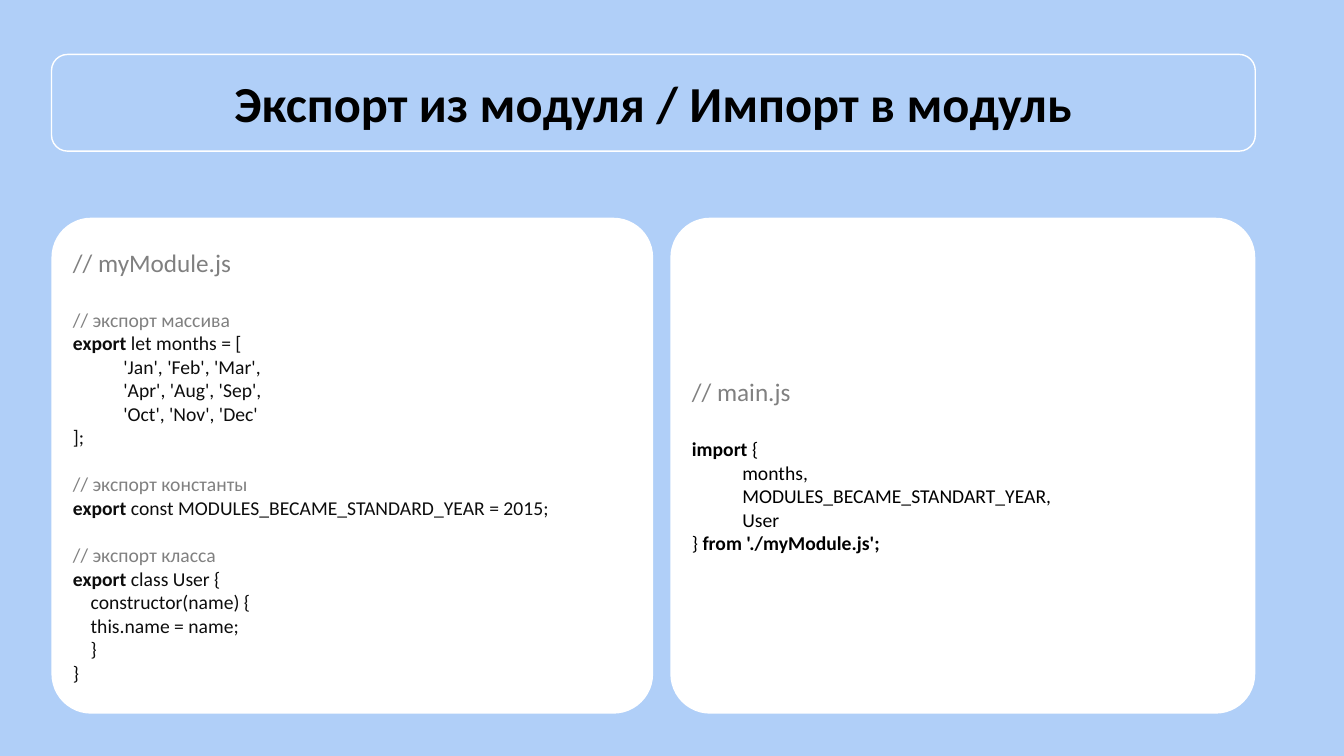
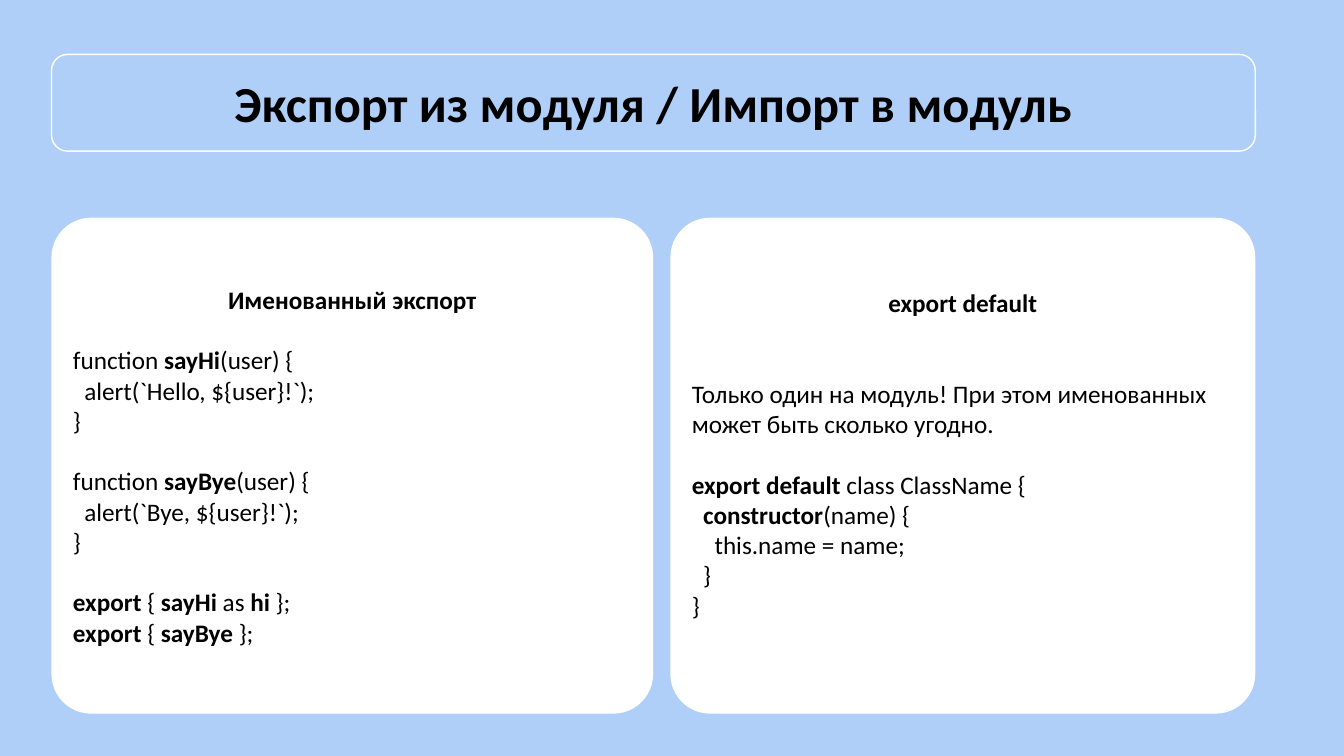
from pptx import Presentation
from pptx.dml.color import RGBColor
from pptx.enum.shapes import MSO_SHAPE
from pptx.enum.text import MSO_ANCHOR, PP_ALIGN
from pptx.util import Inches, Pt

SKY = RGBColor(0xB0, 0xCF, 0xF8)
WHITE = RGBColor(0xFF, 0xFF, 0xFF)
GREY = RGBColor(0x80, 0x80, 0x80)
BLACK = RGBColor(0, 0, 0)
INK = RGBColor(0x0D, 0x0D, 0x0D)

GRID = 100
LEFT, RIGHT, GAP = 3.83, 93.4, 1.28
SPLIT = 48.6
TOP, TALL = 28.8, 65.6
LINE = 1.2
STEP = 0.45

HEAD = "Экспорт из модуля / Импорт в модуль"
FILE = {"size": 18, "color": GREY}
NOTE = {"color": GREY, "gap": 1}
FIRST = {"color": GREY, "gap": 18 / 14}
ITEM = {"left": 36}
MID = {"align": PP_ALIGN.CENTER}
NEXT = {"gap": 1}


def tab(count):
    """Return the format of a code line that is count steps deep."""
    return {"deep": count}


class Deck:
    """Hold the style and the current slide."""

    def __init__(self):
        """Start an empty deck."""
        self.file = Presentation()
        self.file.slide_width = Inches(13.33)
        self.file.slide_height = Inches(7.5)

    def page(self, head):
        """Add a slide with its background and title."""
        self.slide = self.file.slides.add_slide(self.file.slide_layouts[6])
        fill = self.slide.background.fill
        fill.solid()
        fill.fore_color.rgb = SKY
        box = self.panel(LEFT, 7.2, RIGHT - LEFT, 12.8)
        box.fill.background()
        box.line.color.rgb = WHITE
        box.line.width = Pt(1)
        self.text(box, [(f"*{head}*", MID)], 36, BLACK)

    def panel(self, col, row, wide, tall):
        """Add a rounded box at a place on the grid."""
        unit = self.file.slide_width / GRID
        rise = self.file.slide_height / GRID
        box = self.slide.shapes.add_shape(
            MSO_SHAPE.ROUNDED_RECTANGLE,
            round(col * unit), round(row * rise),
            round(wide * unit), round(tall * rise))
        box.shadow.inherit = False
        return box

    def card(self, start, end, rows, size, ink, foot=0):
        """Add a white card of code between two columns."""
        box = self.panel(start, TOP, end - start, TALL)
        box.adjustments[0] = 0.08
        box.fill.solid()
        box.fill.fore_color.rgb = WHITE
        box.line.fill.background()
        self.text(box, rows, size, ink)
        box.text_frame.margin_bottom += Pt(foot)

    def pair(self, one, two, size, inks, foot=0):
        """Add the left and right cards."""
        self.card(LEFT, SPLIT, one, size, inks[0])
        self.card(SPLIT + GAP, RIGHT, two, size, inks[1], foot)

    def text(self, box, rows, size, ink):
        """Fill a box with rows of text, where stars mark bold parts."""
        frame = box.text_frame
        frame.word_wrap = True
        frame.vertical_anchor = MSO_ANCHOR.MIDDLE
        for at, row in enumerate(rows):
            words, form = row if isinstance(row, tuple) else (row, {})
            para = frame.paragraphs[0] if at == 0 else frame.add_paragraph()
            high = form.get("size", size)
            look = {"alignment": form.get("align", PP_ALIGN.LEFT),
                    "space_before": Pt(form.get("gap", 0) * high * LINE)}
            for name, value in look.items():
                setattr(para, name, value)
            left = form.get("left", form.get("deep", 0) * STEP * high)
            para._p.get_or_add_pPr().set("marL", str(int(Pt(left))))
            for turn, part in enumerate(words.split("*")):
                if part:
                    run = para.add_run()
                    run.text = part
                    font = {"name": "Calibri", "size": Pt(high),
                            "bold": turn % 2 == 1}
                    for name, value in font.items():
                        setattr(run.font, name, value)
                    run.font.color.rgb = form.get("color", ink)


def main():
    """Build and save the deck."""
    deck = Deck()
    deck.page(HEAD)
    deck.pair([
        ("// myModule.js", FILE),
        ("// экспорт массива", FIRST),
        "*export *let months = [",
        ("'Jan', 'Feb', 'Mar',", ITEM),
        ("'Apr', 'Aug', 'Sep',", ITEM),
        ("'Oct', 'Nov', 'Dec'", ITEM),
        "];",
        ("// экспорт константы", NOTE),
        "*export *const MODULES_BECAME_STANDARD_YEAR = 2015;",
        ("// экспорт класса", NOTE),
        "*export *class User {",
        ("constructor(name) {", tab(2)),
        ("this.name = name;", tab(2)),
        ("}", tab(2)),
        "}",
    ], [
        ("// main.js", FILE),
        ("*import *{", {"gap": 18 / 14}),
        ("months,", ITEM),
        ("MODULES_BECAME_STANDART_YEAR,", ITEM),
        ("User", ITEM),
        "} *from './myModule.js';*",
    ], 14, (INK, BLACK))

    deck.page(HEAD)
    deck.pair([
        ("*Именованный экспорт*", MID),
        ("function *sayHi*(user) {", NEXT),
        ("alert(`Hello, ${user}!`);", tab(1)),
        "}",
        ("function *sayBye*(user) {", NEXT),
        ("alert(`Bye, ${user}!`);", tab(1)),
        "}",
        ("*export *{ *sayHi *as *hi *};", NEXT),
        "*export *{ *sayBye *};",
    ], [
        ("*export default*", MID),
        ("Только один на модуль! При этом именованных "
         "может быть сколько угодно.", {"gap": 2}),
        ("*export default *class ClassName {", NEXT),
        ("*constructor*(name) {", tab(1)),
        ("this.name = name;", tab(2)),
        ("}", tab(1)),
        "}",
    ], 18, (BLACK, BLACK), 14 * LINE)
    deck.file.save("out.pptx")


if __name__ == "__main__":
    main()
